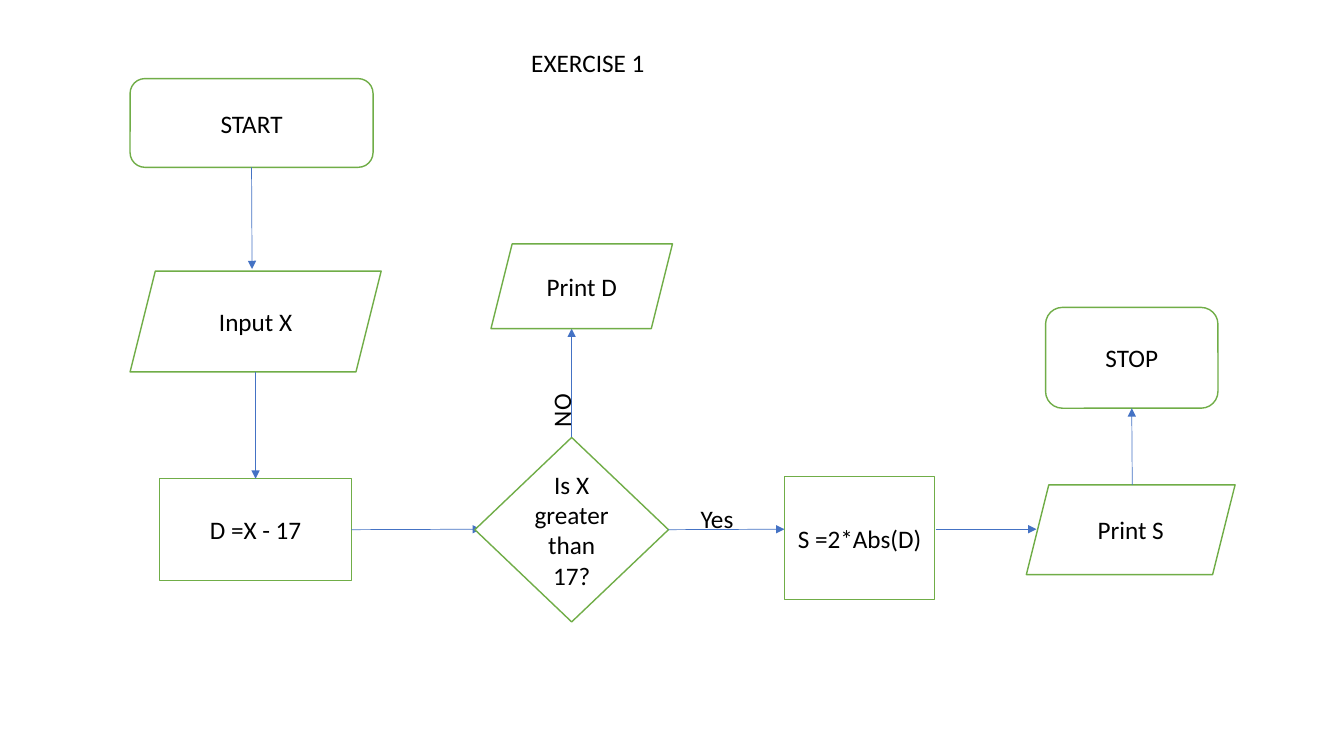
from pptx import Presentation
from pptx.dml.color import RGBColor
from pptx.enum.shapes import MSO_CONNECTOR, MSO_SHAPE
from pptx.enum.text import MSO_ANCHOR, MSO_AUTO_SIZE, PP_ALIGN
from pptx.oxml.ns import qn
from pptx.util import Inches, Pt
from lxml.etree import SubElement

TOP, LEFT, BOTTOM, RIGHT = range(4)
GREEN, BLUE, BLACK, WHITE = "70AD47", "4472C4", "000000", "FFFFFF"


def color(value):
    return RGBColor.from_string(value)


def write(frame, text, align):
    frame.text = text
    para = frame.paragraphs[0]
    para.alignment = align
    para.font.name = "Calibri"
    para.font.size = Pt(18)
    para.font.color.rgb = color(BLACK)


def node(slide, kind, text, x, y, w, h):
    shape = slide.shapes.add_shape(kind, Inches(x), Inches(y), Inches(w), Inches(h))
    shape.shadow.inherit = False
    shape.fill.solid()
    shape.fill.fore_color.rgb = color(WHITE)
    shape.line.color.rgb = color(GREEN)
    shape.line.width = Pt(1)
    shape.text_frame.word_wrap = True
    shape.text_frame.vertical_anchor = MSO_ANCHOR.MIDDLE
    write(shape.text_frame, text, PP_ALIGN.CENTER)
    return shape


def label(slide, text, x, y, w, wrap=False, turn=0):
    box = slide.shapes.add_textbox(Inches(x), Inches(y), Inches(w), Inches(0.4))
    box.rotation = turn
    box.text_frame.word_wrap = wrap
    box.text_frame.auto_size = MSO_AUTO_SIZE.SHAPE_TO_FIT_TEXT
    write(box.text_frame, text, PP_ALIGN.LEFT)


def arrow(slide, x1, y1, x2, y2, begin=None, end=None):
    link = slide.shapes.add_connector(
        MSO_CONNECTOR.STRAIGHT, Inches(x1), Inches(y1), Inches(x2), Inches(y2))
    link.line.color.rgb = color(BLUE)
    link.line.width = Pt(0.5)
    SubElement(link.line._get_or_add_ln(), qn("a:tailEnd"), type="triangle")
    SubElement(link._element.spPr, qn("a:effectLst"))
    if begin:
        link.begin_connect(*begin)
    if end:
        link.end_connect(*end)


def intake(slide, x, y, w, h):
    start = node(slide, MSO_SHAPE.ROUNDED_RECTANGLE, "START", x, y, 2.41, 0.88)
    arrow(slide, x + 1.21, y + 0.88, x + 1.21, y + 1.89, begin=(start, BOTTOM))
    node(slide, MSO_SHAPE.PARALLELOGRAM, "Input X", x, y + 1.91, w, 1)
    mid = x + w / 2
    diff = node(slide, MSO_SHAPE.RECTANGLE, "D =X - 17", mid - 0.95, y + h - 1.01, 1.9, 1.01)
    arrow(slide, mid, y + 2.91, mid, y + h - 1.01, end=(diff, TOP))
    return diff


def choice(slide, x, y, w, h, diff):
    mid, level = x + w / 2, y + h - 0.92
    arrow(slide, x - 1.22, level, x + 0.06, level, begin=(diff, RIGHT))
    test = node(slide, MSO_SHAPE.DIAMOND, "Is X greater than 17?", x, y + h - 1.83, w, 1.83)
    arrow(slide, mid, y + 1.92, mid, y + 0.84, begin=(test, TOP))
    arrow(slide, x + w, level, x + w + 1.15, level, begin=(test, RIGHT))
    node(slide, MSO_SHAPE.PARALLELOGRAM, "Print D", mid - 0.8, y, 1.8, 0.84)
    label(slide, "NO", x + 0.59, y + 1.45, 0.53, turn=270)
    label(slide, "Yes", x + w + 0.22, y + 2.52, 0.53)


def result(slide, x, y, w, h):
    node(slide, MSO_SHAPE.RECTANGLE, "S =2*Abs(D)", x, y + h - 1.22, 1.49, 1.22)
    arrow(slide, x + 1.5, y + 2.2, x + 2.5, y + 2.2)
    node(slide, MSO_SHAPE.PARALLELOGRAM, "Print S", x + w - 2.07, y + 1.76, 2.07, 0.89)
    stop = node(slide, MSO_SHAPE.ROUNDED_RECTANGLE, "STOP", x + 2.59, y, 1.71, 1)
    arrow(slide, x + 3.45, y + 1.76, x + 3.45, y + 1, end=(stop, BOTTOM))


def main():
    deck = Presentation()
    deck.slide_width, deck.slide_height = Inches(13.33), Inches(7.5)
    slide = deck.slides.add_slide(deck.slide_layouts[6])
    label(slide, "EXERCISE 1", 5.17, 0.42, 2.21, wrap=True)
    diff = intake(slide, 1.29, 0.78, 2.49, 4.98)
    choice(slide, 4.71, 2.42, 1.92, 3.75, diff)
    result(slide, 7.78, 3.05, 4.47, 2.9)
    deck.save("out.pptx")


if __name__ == "__main__":
    main()
